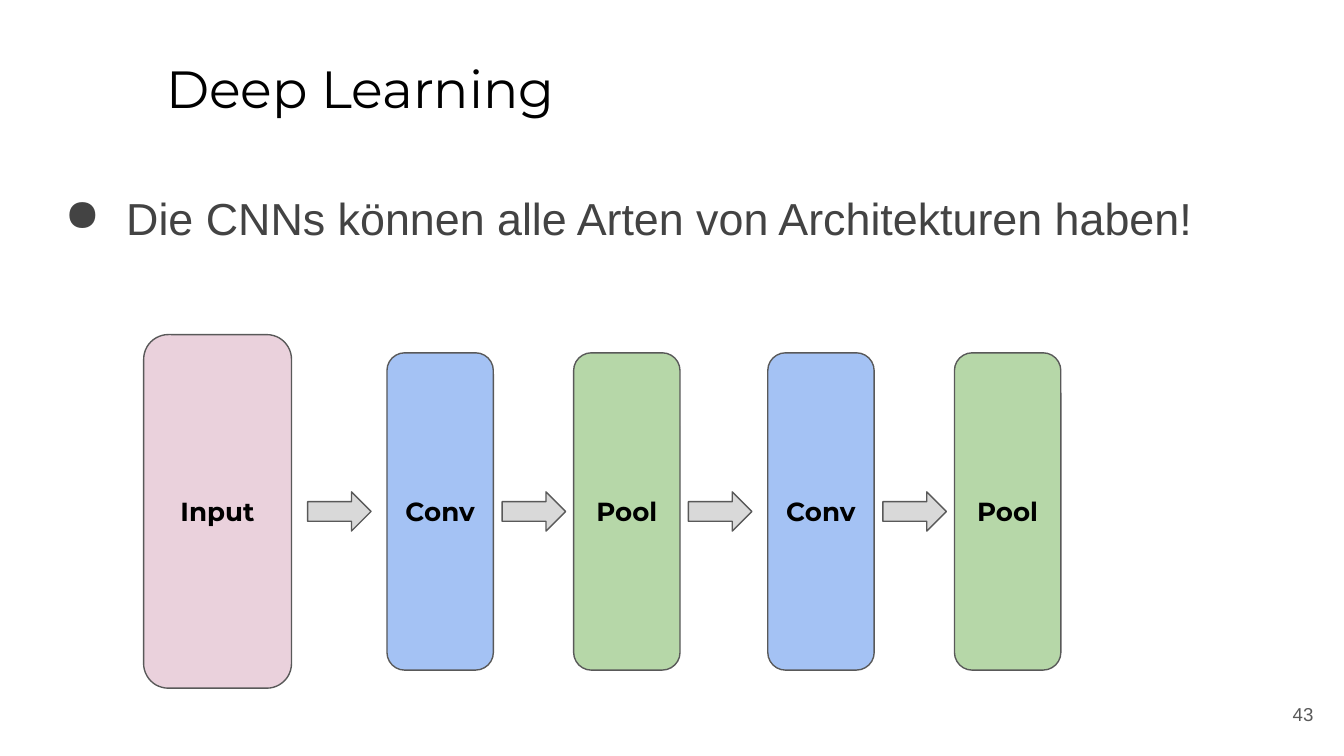
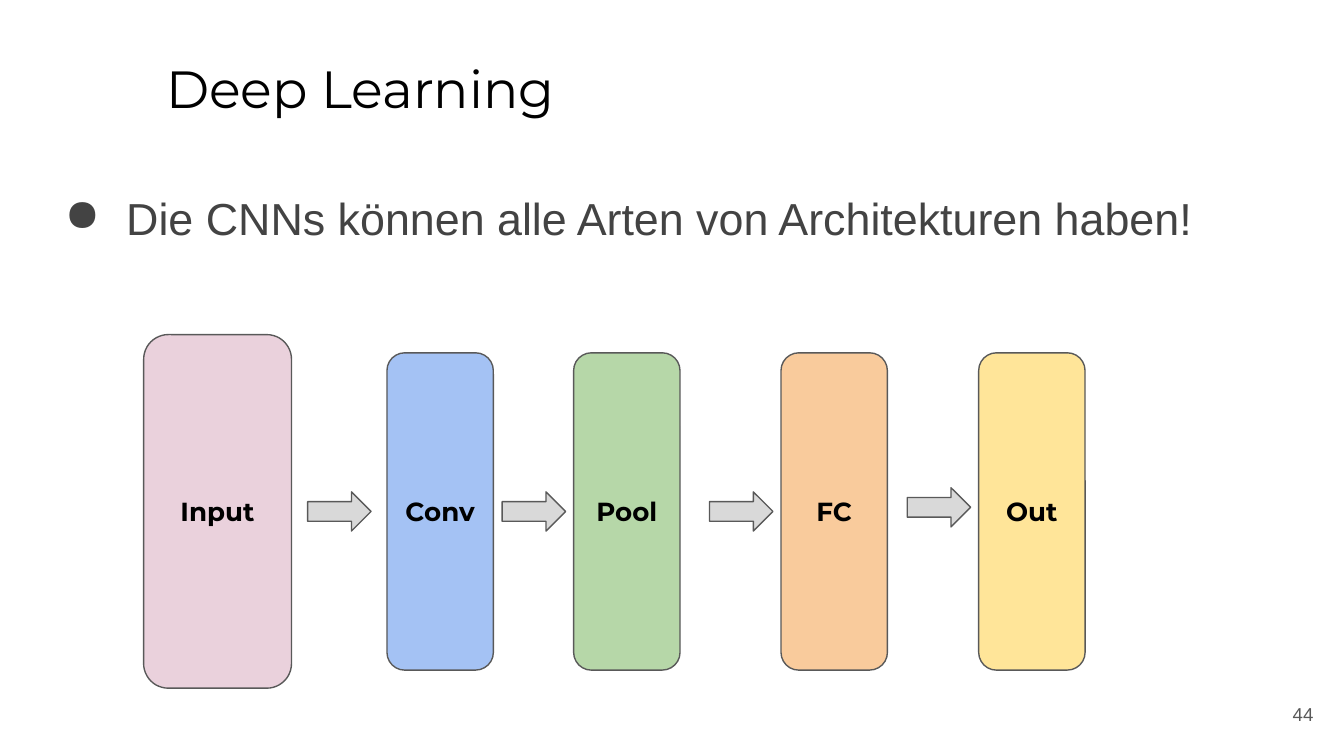
from lxml.etree import SubElement as Sub
from pptx import Presentation as Deck
from pptx.dml.color import RGBColor as RGB
from pptx.enum.shapes import MSO_SHAPE as Form
from pptx.enum.text import MSO_ANCHOR as Anchor, PP_ALIGN as Align
from pptx.oxml.ns import qn
from pptx.util import Pt

BLACK = RGB(0x00, 0x00, 0x00)
DARK = RGB(0x43, 0x43, 0x43)
GREY = RGB(0x59, 0x59, 0x59)
SILVER = RGB(0xD9, 0xD9, 0xD9)
PINK = RGB(0xEA, 0xD1, 0xDC)
BLUE = RGB(0xA4, 0xC2, 0xF4)
GREEN = RGB(0xB6, 0xD7, 0xA8)
ORANGE = RGB(0xF9, 0xCB, 0x9C)
YELLOW = RGB(0xFF, 0xE5, 0x99)

HEAD, BODY = "Montserrat", "Arial"
FILLS = {"Conv": BLUE, "Pool": GREEN, "FC": ORANGE, "Out": YELLOW}

# Boxes: left, top, width, height
TITLE = (82, 23, 613.5, 45.5)
TEXT = (24.5, 90.7, 671, 269.3)
CHAIN = (77, 179.3, 505, 189.4)
NUMBER = (667.5, 367.2, 43.2, 31)

# Network parts
INPUT = 79.2
LAYER = (57, 170)
ARROW = (34, 21)
NEAR, FAR = 4.3, 8.5  # from arrow tip to next layer

# Per slide: page, then each layer's name, left in the chain, arrow shift
START = [("Conv", 130.3, 0), ("Pool", 230.3, 0)]
PAGES = [
    (43, START + [("Conv", 334.3, 0), ("Pool", 434.3, 0)]),
    (44, START + [("FC", 341.4, 0), ("Out", 447.3, -2.2)]),
]


def write(shape, text, font, size, color, align=Align.LEFT,
          anchor=Anchor.MIDDLE, bold=False):
    frame = shape.text_frame
    frame.word_wrap = True
    frame.vertical_anchor = anchor
    frame.margin_left = frame.margin_right = Pt(7.2)
    frame.margin_top = frame.margin_bottom = Pt(7.2)
    para = frame.paragraphs[0]
    para.text = text
    para.alignment = align
    para.font.name = font
    para.font.size = Pt(size)
    para.font.bold = bold
    para.font.color.rgb = color
    return para


def label(slide, box, *style, **more):
    return write(slide.shapes.add_textbox(*map(Pt, box)), *style, **more)


def block(slide, form, box, fill):
    shape = slide.shapes.add_shape(form, *map(Pt, box))
    shape.shadow.inherit = False
    shape.fill.solid()
    shape.fill.fore_color.rgb = fill
    shape.line.color.rgb = GREY
    shape.line.width = Pt(0.75)
    return shape


def layer(slide, box, name, fill):
    shape = block(slide, Form.ROUNDED_RECTANGLE, box, fill)
    write(shape, name, HEAD, 14, BLACK, Align.CENTER, bold=True)


def title(slide, box):
    label(slide, box, "Deep Learning", HEAD, 28, BLACK, anchor=Anchor.TOP)


def point(slide, box):
    frame = slide.shapes.add_textbox(*map(Pt, box))
    # Bullet first, so that it precedes the font settings
    props = frame.text_frame.paragraphs[0]._p.get_or_add_pPr()
    props.set("marL", str(Pt(36)))
    props.set("indent", str(-Pt(33)))
    tint = Sub(Sub(props, qn("a:buClr")), qn("a:srgbClr"))
    tint.set("val", str(DARK))
    Sub(props, qn("a:buChar")).set("char", "●")
    para = write(frame, "Die CNNs können alle Arten von Architekturen haben!",
                 BODY, 24, DARK, anchor=Anchor.TOP)
    para.line_spacing = 1.15


def chain(slide, box, layers):
    left, top, _, high = box
    mid = top + high / 2
    layer(slide, (left, top, INPUT, high), "Input", PINK)
    wide, tall = LAYER
    long, thick = ARROW
    for name, shift, lift in layers:
        x = left + shift
        layer(slide, (x, mid - tall / 2, wide, tall), name, FILLS[name])
        gap = FAR if name == "Conv" else NEAR
        spot = (x - gap - long, mid - thick / 2 + lift, long, thick)
        block(slide, Form.RIGHT_ARROW, spot, SILVER)


def number(slide, box, page):
    label(slide, box, str(page), BODY, 10, GREY, Align.RIGHT)


def main():
    deck = Deck()
    deck.slide_width, deck.slide_height = Pt(720), Pt(405)
    for page, layers in PAGES:
        slide = deck.slides.add_slide(deck.slide_layouts[6])
        title(slide, TITLE)
        point(slide, TEXT)
        chain(slide, CHAIN, layers)
        number(slide, NUMBER, page)
    deck.save("out.pptx")


if __name__ == "__main__":
    main()
